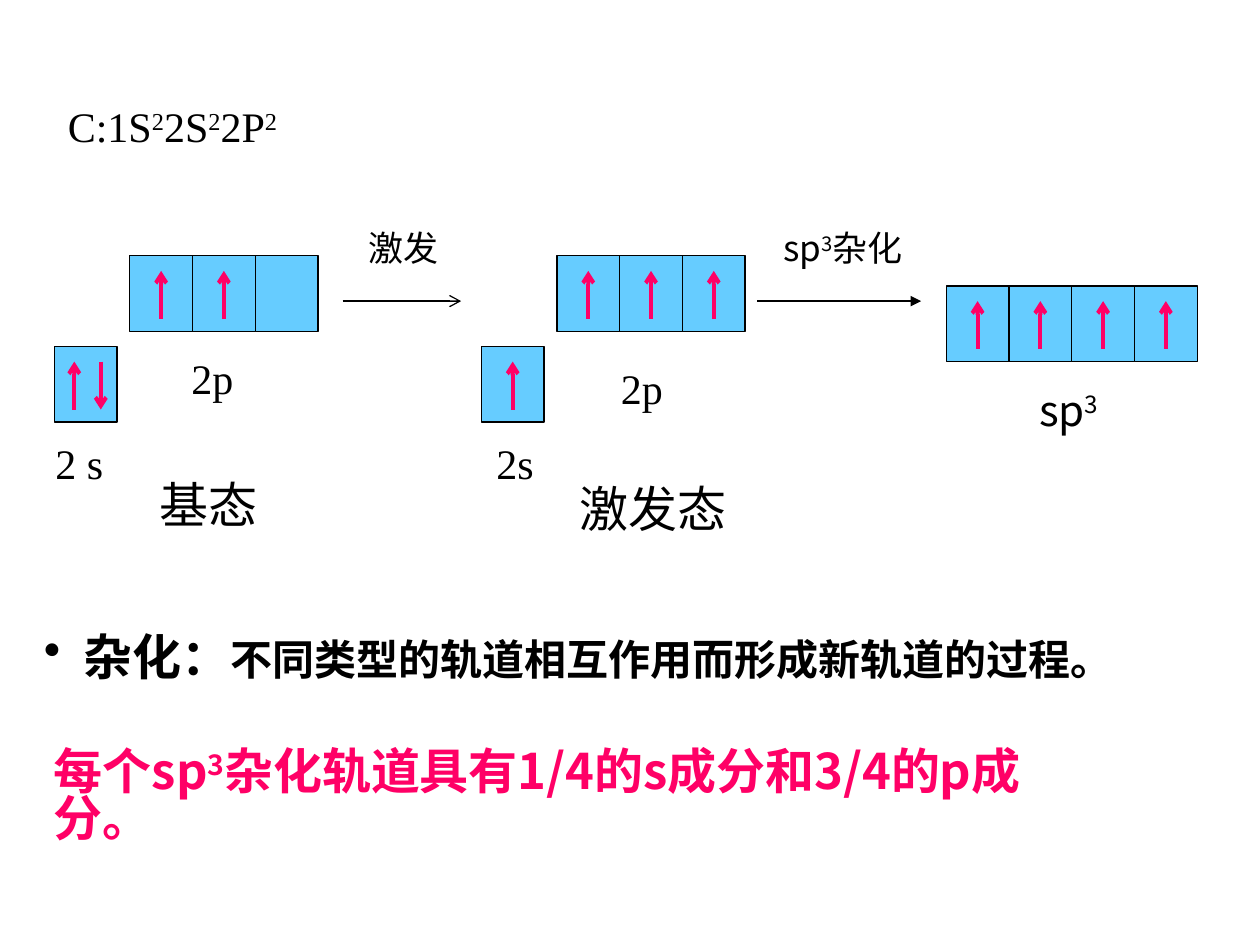
import pptx
import pptx.util
import pptx.dml.color
import pptx.enum.shapes
import pptx.enum.text
from pptx.oxml.ns import qn
from lxml import etree

INK = {"black": "000000", "pink": "FF0066", "blue": "66CCFF"}
ROMAN, SANS = "Times New Roman", "Noto Sans CJK SC"
COLS, ROWS = 100, 75
CELL, TALL = 4.98, 6


class Board:
    """Draws styled elements on one slide, placed by grid columns and rows."""

    def __init__(self, deck):
        self.slide = deck.slides.add_slide(deck.slide_layouts[6])
        self.wide, self.high = deck.slide_width, deck.slide_height

    def spot(self, col, row):
        return round(col * self.wide / COLS), round(row * self.high / ROWS)

    def tint(self, name):
        return pptx.dml.color.RGBColor.from_string(INK[name])

    def text(self, col, row, wide, high, runs, size=24, font=ROMAN,
             ink="black", bold=False, wrap=False, space=None, hang=0):
        box = self.slide.shapes.add_textbox(*self.spot(col, row), *self.spot(wide, high))
        frame = box.text_frame
        frame.word_wrap = wrap
        frame.auto_size = pptx.enum.text.MSO_AUTO_SIZE.SHAPE_TO_FIT_TEXT
        para = frame.paragraphs[0]
        if space:
            para.line_spacing = space
        if hang:
            props = para._p.get_or_add_pPr()
            inset = self.spot(hang, 0)[0]
            props.set("marL", str(inset))
            props.set("indent", str(-inset))
            etree.SubElement(props, qn("a:buChar")).set("char", "•")
        for part in runs:
            words, extra = part if isinstance(part, tuple) else (part, {})
            run = para.add_run()
            run.text = words
            look = {"size": pptx.util.Pt(extra.get("size", size)), "name": font, "bold": bold}
            for key, value in look.items():
                setattr(run.font, key, value)
            run.font.color.rgb = self.tint(ink)
            props = run._r.get_or_add_rPr()
            etree.SubElement(props, qn("a:ea")).set("typeface", SANS)
            if extra.get("sup"):
                props.set("baseline", "30000")

    def arrow(self, start, end, ink="black", width=0.75, head="arrow"):
        kind = pptx.enum.shapes.MSO_CONNECTOR.STRAIGHT
        line = self.slide.shapes.add_connector(kind, *self.spot(*start), *self.spot(*end))
        line.line.color.rgb = self.tint(ink)
        line.line.width = pptx.util.Pt(width)
        etree.SubElement(line.line._get_or_add_ln(), qn("a:tailEnd")).set("type", head)
        etree.SubElement(line._element.spPr, qn("a:effectLst"))

    def cell(self, col, row):
        kind = pptx.enum.shapes.MSO_SHAPE.RECTANGLE
        box = self.slide.shapes.add_shape(kind, *self.spot(col, row), *self.spot(CELL, TALL))
        box.shadow.inherit = False
        box.fill.solid()
        box.fill.fore_color.rgb = self.tint("blue")
        box.line.color.rgb = self.tint("black")
        box.line.width = pptx.util.Pt(0.75)

    def shell(self, col, row, cells):
        for i, spins in enumerate(cells):
            left = col + i * CELL
            self.cell(left, row)
            places = (1.6, 3.7) if len(spins) == 2 else (CELL / 2,)
            for place, spin in zip(places, spins):
                ends = [(left + place, row + 5), (left + place, row + 1.2)]
                if spin == "↓":
                    ends.reverse()
                self.arrow(*ends, ink="pink", width=2.25)


def main():
    deck = pptx.Presentation()
    deck.slide_width, deck.slide_height = pptx.util.Inches(10), pptx.util.Inches(7.5)
    board = Board(deck)
    sup = {"sup": True}
    two, three = ("2", sup), ("3", sup)

    for col, row, cells in (
        (10.3, 20.3, ["↑", "↑", ""]),
        (4.3, 27.5, ["↑↓"]),
        (44.2, 20.3, ["↑", "↑", "↑"]),
        (38.2, 27.5, ["↑"]),
        (75.1, 22.7, ["↑"] * 4),
    ):
        board.shell(col, row, cells)

    board.arrow((27.2, 23.9), (36.6, 23.9))
    board.arrow((60.1, 23.9), (73.1, 23.9), head="triangle")

    board.text(4.4, 7.5, 18.6, 5, ["C:1S", two, "2S", two, "2P", two])
    board.text(14.2, 27.5, 5.3, 5, ["2p"])
    board.text(3.4, 34.2, 5.8, 5, ["2 s"])
    board.text(48.3, 28.3, 5.3, 5, ["2p"])
    board.text(38.4, 34.2, 5.2, 5, ["2s"])
    board.text(81.5, 30, 6.8, 5, ["sp", three], font=SANS)
    board.text(28.3, 17.5, 10, 4.4, ["激发"], size=20, wrap=True)
    board.text(61.2, 17.5, 12.6, 4.4, ["sp", three, "杂化"], size=20, font=SANS)
    board.text(11.7, 37.2, 11.7, 5.7, ["基态"], size=28, wrap=True)
    board.text(45, 37.5, 15.8, 5.7, ["激发态"], size=28, wrap=True)
    board.text(2.5, 49.2, 92.4, 5.7,
               [" 杂化：", ("不同类型的轨道相互作用而形成新轨道的过程。", {"size": 24})],
               size=28, bold=True, wrap=True, hang=2.3)
    board.text(3.3, 59.2, 81.7, 8.5,
               ["每个sp", three, "杂化轨道具有1/4的s成分和3/4的p成分。"],
               size=28, font=SANS, ink="pink", bold=True, wrap=True, space=0.8)
    deck.save("out.pptx")


if __name__ == "__main__":
    main()
